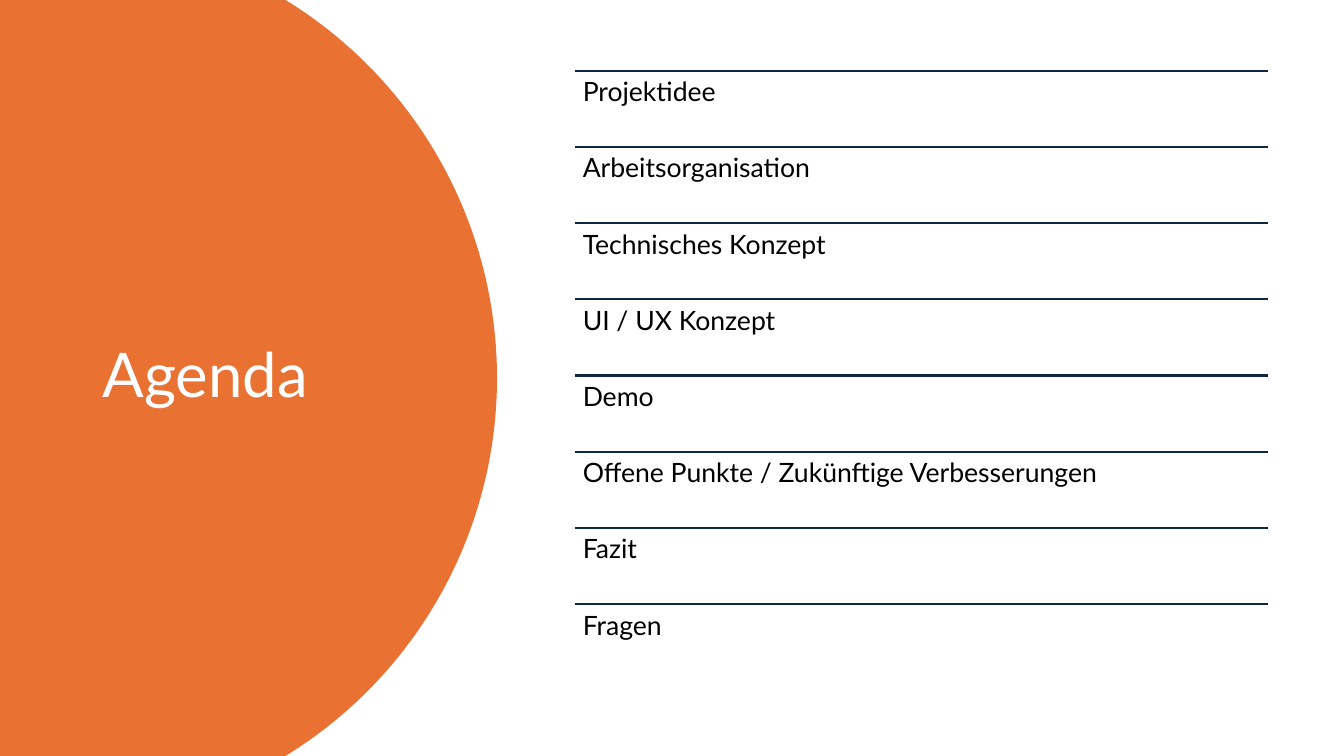
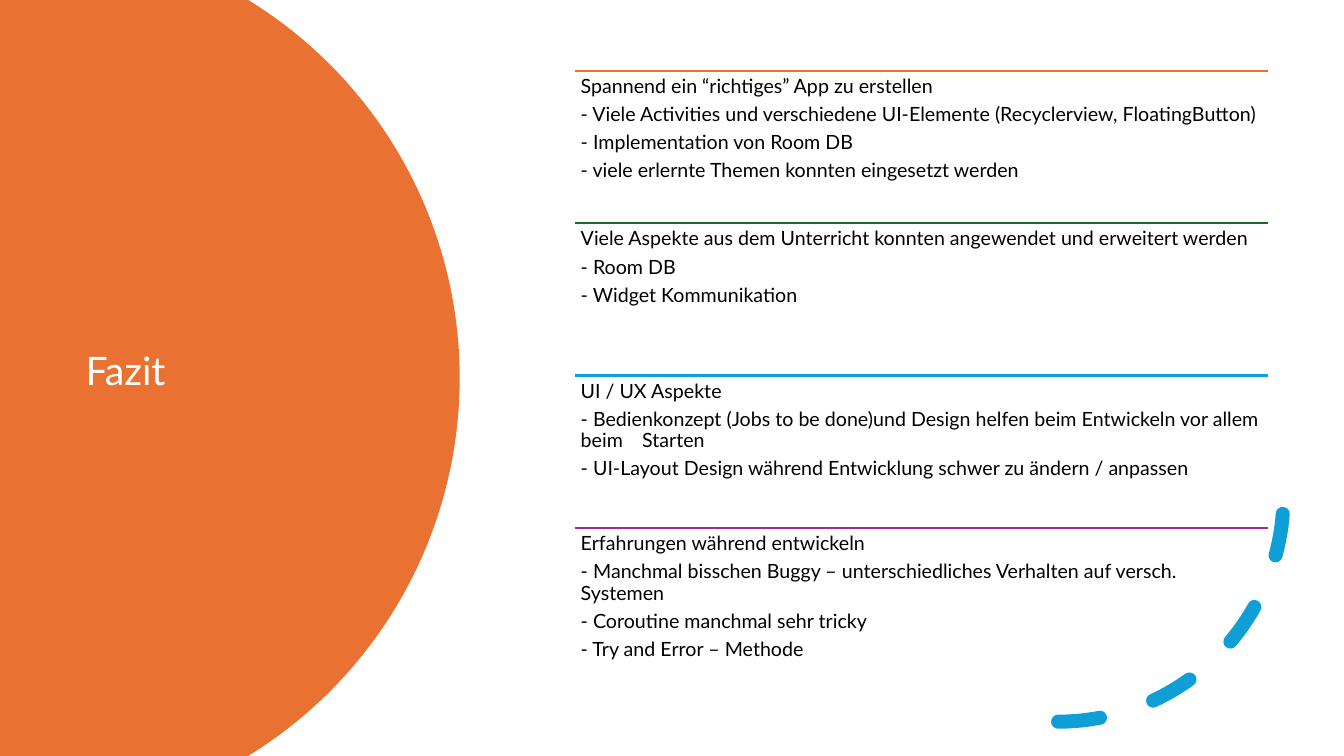
import math

import pptx
import pptx.dml.color
import pptx.enum.dml
import pptx.enum.shapes
import pptx.enum.text
import pptx.oxml
import pptx.oxml.ns
import pptx.util
from lxml import etree

Inches, Pt = pptx.util.Inches, pptx.util.Pt
RGBColor = pptx.dml.color.RGBColor
qn = pptx.oxml.ns.qn

# Colours
ORANGE = RGBColor(0xE9, 0x71, 0x32)
NAVY = RGBColor(0x0E, 0x28, 0x41)
GREEN = RGBColor(0x19, 0x6B, 0x24)
BLUE = RGBColor(0x0F, 0x9E, 0xD5)
PURPLE = RGBColor(0xA0, 0x2B, 0x93)
BLACK = RGBColor(0, 0, 0)
WHITE = RGBColor(0xFF, 0xFF, 0xFF)

# Content
AGENDA = [
    "Projektidee",
    "Arbeitsorganisation",
    "Technisches Konzept",
    "UI / UX Konzept",
    "Demo",
    "Offene Punkte / Zukünftige Verbesserungen",
    "Fazit",
    "Fragen",
]
FINDINGS = [
    (ORANGE, [
        "Spannend ein “richtiges” App zu erstellen",
        "- Viele Activities und verschiedene UI-Elemente (Recyclerview, FloatingButton)",
        "- Implementation von Room DB",
        "- viele erlernte Themen konnten eingesetzt werden",
    ]),
    (GREEN, [
        "Viele Aspekte aus dem Unterricht konnten angewendet und erweitert werden",
        "- Room DB",
        "- Widget Kommunikation",
    ]),
    (BLUE, [
        "UI / UX Aspekte",
        "- Bedienkonzept (Jobs to be done)und Design helfen beim Entwickeln "
        "vor allem beim\tStarten",
        "- UI-Layout Design während Entwicklung schwer zu ändern / anpassen",
    ]),
    (PURPLE, [
        "Erfahrungen während entwickeln",
        "- Manchmal bisschen Buggy – unterschiedliches Verhalten auf versch. Systemen",
        "- Coroutine manchmal sehr tricky",
        "- Try and Error – Methode",
    ]),
]


class Deck:
    """Holds the shared style and the current slide."""

    font = "Lato"
    width, height = 13.33, 7.5
    radius = 4.4                          # orange disc
    left, top = 5.7, 0.7                  # section list
    list_width, list_height = 6.88, 6.05
    tab = 0.61

    def __init__(self):
        self.prs = pptx.Presentation()
        self.prs.slide_width = Inches(self.width)
        self.prs.slide_height = Inches(self.height)
        self.shapes = None

    def new_slide(self):
        s = self.prs.slides.add_slide(self.prs.slide_layouts[6])
        self.shapes = s.shapes

    def text(self, text, *, at, size, color=BLACK, inset=(0.1, 0.05),
             anchor=pptx.enum.text.MSO_ANCHOR.TOP, after=0):
        """Add a text box with one paragraph per line of text."""
        tf = self.shapes.add_textbox(*map(Inches, at)).text_frame
        tf.word_wrap = True
        tf.vertical_anchor = anchor
        tf.margin_left = tf.margin_right = Inches(inset[0])
        tf.margin_top = tf.margin_bottom = Inches(inset[1])
        for i, line in enumerate(text.split("\n")):
            p = tf.add_paragraph() if i else tf.paragraphs[0]
            p.line_spacing = 0.9
            p.space_after = Pt(size * after)
            r = p.add_run()
            r.text = line
            r.font.name = self.font
            r.font.size = Pt(size)
            r.font.color.rgb = color
            if "\t" in line:
                tabs = etree.SubElement(p._p.get_or_add_pPr(), qn("a:tabLst"))
                etree.SubElement(tabs, qn("a:tab"), pos=str(Inches(self.tab)), algn="l")

    def title(self, text, *, at, size):
        self.text(text, at=at, size=size, color=WHITE,
                  anchor=pptx.enum.text.MSO_ANCHOR.MIDDLE)

    def disc(self, center_x, steps=120):
        """Add the disc, cut off by the slide's left, top and bottom edges."""
        middle = self.height / 2
        limit = math.asin(middle / self.radius)
        angles = [limit * (2 * i / steps - 1) for i in range(steps + 1)]
        rim = [(Inches(center_x + self.radius * math.cos(a)),
                Inches(middle + self.radius * math.sin(a))) for a in angles]
        outline = self.shapes.build_freeform(0, 0)
        outline.add_line_segments(rim + [(0, Inches(self.height))], close=True)
        sp = outline.convert_to_shape()
        sp.shadow.inherit = False
        sp.fill.solid()
        sp.fill.fore_color.rgb = ORANGE
        sp.line.fill.background()

    def rule(self, y, color):
        line = self.shapes.add_connector(
            pptx.enum.shapes.MSO_CONNECTOR.STRAIGHT, Inches(self.left), Inches(y),
            Inches(self.left + self.list_width), Inches(y))
        line.line.color.rgb = color
        line.line.width = Pt(1.5)
        etree.SubElement(line._element.spPr, qn("a:effectLst"))

    def dashed_arc(self, *, at, color, width):
        """Add a lower right quarter circle with round dashes."""
        sp = self.shapes.add_shape(pptx.enum.shapes.MSO_SHAPE.ARC, *map(Inches, at))
        sp.shadow.inherit = False
        sp.fill.background()
        sp.line.color.rgb = color
        sp.line.width = Pt(width)
        sp.line.dash_style = pptx.enum.dml.MSO_LINE.DASH
        sp_pr = sp._element.spPr
        sp_pr.find(qn("a:ln")).set("cap", "rnd")
        sp_pr.find(qn("a:xfrm")).set("flipV", "1")

    def sections(self, items, *, size, inset):
        """Stack (rule colour, text) pairs at equal heights."""
        step = self.list_height / len(items)
        for i, (color, text) in enumerate(items):
            y = self.top + i * step
            self.rule(y, color)
            self.text(text, at=(self.left, y, self.list_width, step), size=size,
                      inset=(inset, inset), after=0.35)


def main():
    deck = Deck()

    # Agenda
    deck.new_slide()
    deck.disc(0.53)
    deck.title("Agenda", at=(0.92, 0.7, 3.23, 6.09), size=44)
    deck.sections([(NAVY, topic) for topic in AGENDA], size=19, inset=0.08)

    # Conclusion
    deck.new_slide()
    deck.disc(0.16)
    deck.title("Fazit", at=(0.75, 1.26, 3.5, 4.88), size=28)
    deck.dashed_arc(at=(8.26, 2.69, 4.47, 4.47), color=BLUE, width=10)
    deck.sections([(color, "\n".join(lines)) for color, lines in FINDINGS],
                  size=14, inset=0.06)

    deck.prs.save("out.pptx")


if __name__ == "__main__":
    main()
